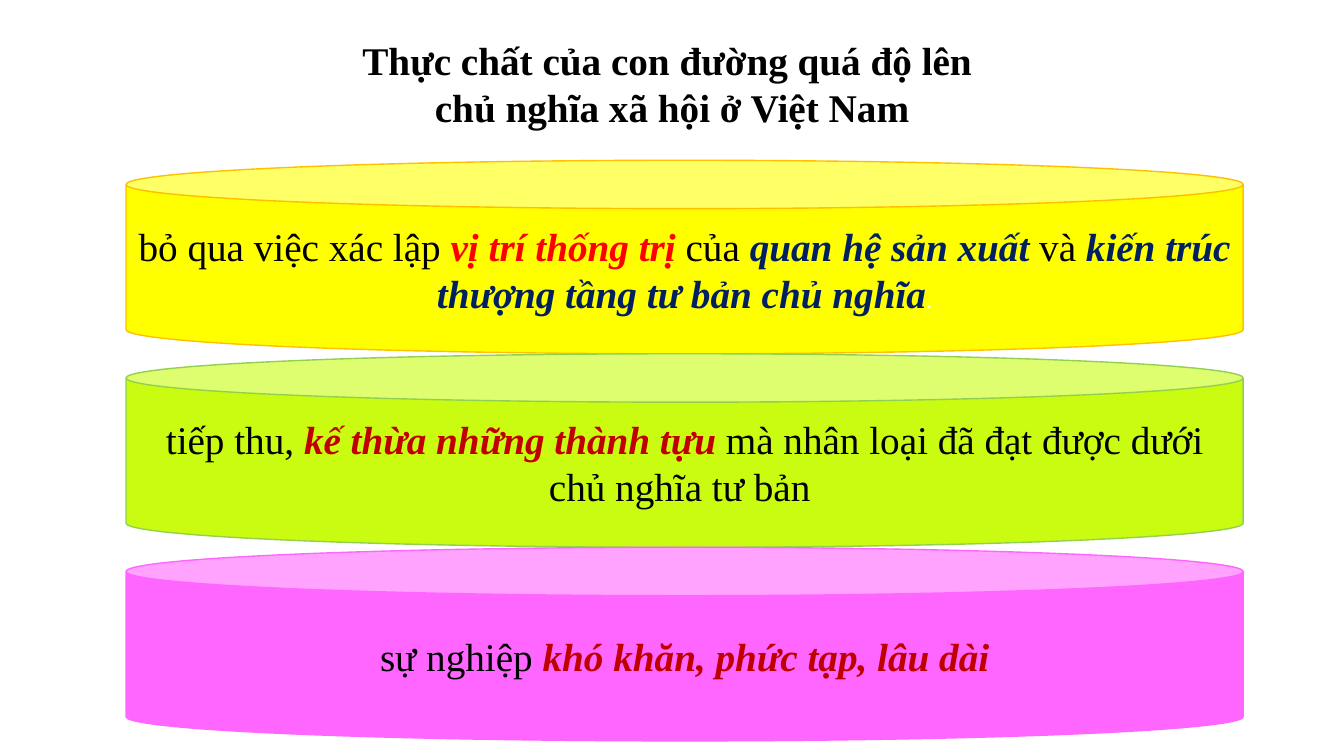
from pptx import Presentation
from pptx.dml.color import RGBColor
from pptx.enum.shapes import MSO_SHAPE
from pptx.enum.text import MSO_ANCHOR, MSO_AUTO_SIZE, PP_ALIGN
from pptx.util import Inches, Pt

FONT = "Times New Roman"
COLORS = {
    "black": "000000", "white": "FFFFFF", "red": "FF0000",
    "dark_red": "C00000", "navy": "002060",
    "yellow": "FFFF00", "amber": "FFC000",
    "lime": "C9FC10", "green": "92D050", "pink": "FF66FF",
}

TITLE = ["Thực chất của con đường quá độ lên ", "chủ nghĩa xã hội ở Việt Nam"]

# Fill, line, then runs as (text, color, emphasized, size)
CANS = [
    ("yellow", "amber", [
        ("bỏ qua việc xác lập ", "black", False, 28),
        ("vị trí thống trị ", "red", True, 28),
        ("của ", "black", False, 28),
        ("quan hệ sản xuất ", "navy", True, 28),
        ("và ", "black", False, 28),
        ("kiến trúc thượng tầng tư bản chủ nghĩa", "navy", True, 28),
        (".", "white", False, 18),
    ]),
    ("lime", "green", [
        ("tiếp thu, ", "black", False, 28),
        ("kế thừa những thành tựu ", "dark_red", True, 28),
        ("mà nhân loại đã đạt được dưới chủ nghĩa tư bản ", "black", False, 28),
    ]),
    ("pink", "pink", [
        ("sự nghiệp ", "black", False, 28),
        ("khó khăn, phức tạp, lâu dài", "dark_red", True, 28),
    ]),
]


def rgb(name):
    return RGBColor.from_string(COLORS[name])


def add_run(p, text, color, bold, italic, size=28):
    r = p.add_run()
    r.text = text
    r.font.name = FONT
    r.font.size = Pt(size)
    r.font.bold = bold
    r.font.italic = italic
    r.font.color.rgb = rgb(color)


def prepare_text(sp):
    tf = sp.text_frame
    tf.word_wrap = True
    tf.auto_size = MSO_AUTO_SIZE.NONE
    tf.vertical_anchor = MSO_ANCHOR.MIDDLE
    return tf


def add_title(s, x, y, w, h):
    sp = s.shapes.title
    sp.left, sp.top, sp.width, sp.height = map(Inches, (x, y, w, h))
    tf = prepare_text(sp)
    for i, line in enumerate(TITLE):
        p = tf.add_paragraph() if i else tf.paragraphs[0]
        p.alignment = PP_ALIGN.CENTER
        add_run(p, line, "black", True, False)


def add_can(s, x, y, w, h, fill, line, runs):
    sp = s.shapes.add_shape(MSO_SHAPE.CAN, *map(Inches, (x, y, w, h)))
    sp.shadow.inherit = False
    sp.fill.solid()
    sp.fill.fore_color.rgb = rgb(fill)
    sp.line.color.rgb = rgb(line)
    sp.line.width = Pt(1)
    p = prepare_text(sp).paragraphs[0]
    p.alignment = PP_ALIGN.CENTER
    for text, color, emphasized, size in runs:
        add_run(p, text, color, emphasized, emphasized, size)


def add_can_stack(s, x, y, w, h):
    can_h = h / len(CANS)
    for i, (fill, line, runs) in enumerate(CANS):
        add_can(s, x, y + i * can_h, w, can_h, fill, line, runs)


def main():
    prs = Presentation()
    prs.slide_width, prs.slide_height = Inches(13.33), Inches(7.5)
    s = prs.slides.add_slide(prs.slide_layouts[5])
    add_title(s, 2.83, 0.33, 7.67, 1)
    add_can_stack(s, 1.25, 1.59, 11.08, 5.76)
    prs.save("out.pptx")


if __name__ == "__main__":
    main()
